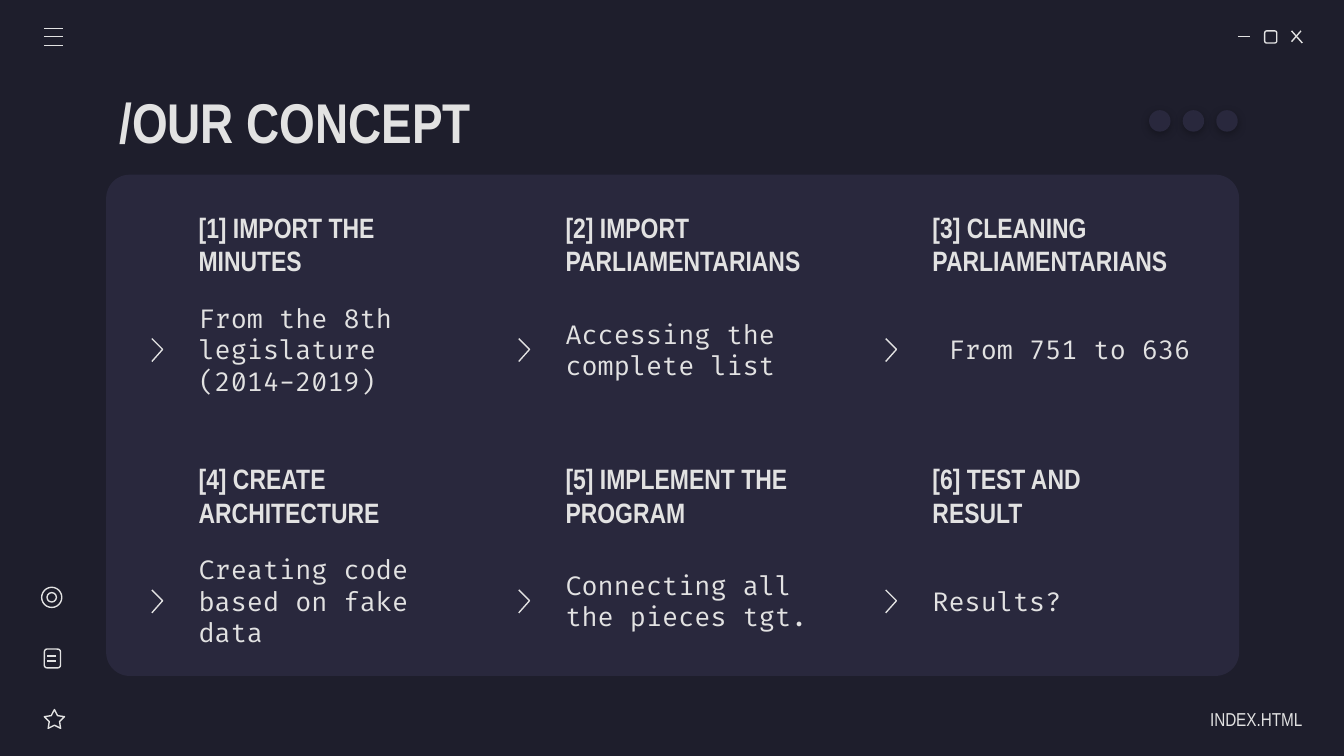
from lxml import etree
from pptx import Presentation
from pptx.dml.color import RGBColor
from pptx.enum.shapes import MSO_CONNECTOR as Connector, MSO_SHAPE as Shape
from pptx.enum.text import MSO_ANCHOR as Anchor, PP_ALIGN as Align
from pptx.oxml.ns import qn
from pptx.util import Inches, Pt

NIGHT = RGBColor(0x1E, 0x1E, 0x2C)
PANEL = RGBColor(0x29, 0x28, 0x3D)
LIGHT = RGBColor(0xE2, 0xE2, 0xE2)
BLACK = RGBColor(0, 0, 0)
HEADING_FONT = "Arial Narrow"
BODY_FONT = "Fira Code"

COLUMNS = 3
COLUMN_STEP = 2.73
ROW_STEP = 1.87
STEPS = [
    ("[1] IMPORT THE MINUTES", "From the 8th legislature (2014-2019)"),
    ("[2] IMPORT PARLIAMENTARIANS", "Accessing the complete list"),
    ("[3] CLEANING PARLIAMENTARIANS", "From 751 to 636"),
    ("[4] CREATE ARCHITECTURE", "Creating code based on fake data"),
    ("[5] IMPLEMENT THE PROGRAM", "Connecting all the pieces tgt."),
    ("[6] TEST AND RESULT", "Results?"),
]
BODY_SHIFTS = {2: 0.12}


def set_outline(line):
    line.color.rgb = LIGHT
    line.width = Pt(0.75)


def add_filled(page, kind, left, top, width, height):
    shape = page.shapes.add_shape(
        kind, Inches(left), Inches(top), Inches(width), Inches(height))
    shape.shadow.inherit = False
    shape.fill.solid()
    shape.fill.fore_color.rgb = PANEL
    shape.line.fill.background()
    return shape


def add_outlined(page, kind, left, top, width, height):
    shape = add_filled(page, kind, left, top, width, height)
    shape.fill.background()
    set_outline(shape.line)
    return shape


def add_line(page, x1, y1, x2, y2):
    line = page.shapes.add_connector(
        Connector.STRAIGHT, Inches(x1), Inches(y1), Inches(x2), Inches(y2))
    set_outline(line.line)
    etree.SubElement(line._element.spPr, qn("a:effectLst"))


def add_chevron(page, left, top):
    builder = page.shapes.build_freeform(Inches(left), Inches(top))
    builder.add_line_segments(
        [(Inches(left + 0.08), Inches(top + 0.08)),
         (Inches(left), Inches(top + 0.17))], close=False)
    chevron = builder.convert_to_shape()
    chevron.shadow.inherit = False
    chevron.fill.background()
    set_outline(chevron.line)


def add_text(page, text, left, top, width, height, size,
             font=HEADING_FONT, bold=False, align=Align.LEFT, right_inset=0.1):
    box = page.shapes.add_textbox(
        Inches(left), Inches(top), Inches(width), Inches(height))
    frame = box.text_frame
    frame.word_wrap = True
    frame.vertical_anchor = Anchor.MIDDLE
    frame.margin_left = frame.margin_top = frame.margin_bottom = Inches(0.1)
    frame.margin_right = Inches(right_inset)
    frame.text = text
    para = frame.paragraphs[0]
    para.alignment = align
    span = para.runs[0].font
    span.name, span.size, span.bold = font, Pt(size), bold
    span.color.rgb = LIGHT


def add_dot(page, left):
    """Panel-coloured dot with a soft shadow below it."""
    dot = add_filled(page, Shape.OVAL, left, 0.82, 0.16, 0.16)
    effects = dot._element.spPr.find(qn("a:effectLst"))
    shadow = etree.SubElement(
        effects, qn("a:outerShdw"), blurRad=str(Pt(4.5)), dist=str(Pt(1.5)),
        dir="5400000", algn="bl", rotWithShape="0")
    color = etree.SubElement(shadow, qn("a:srgbClr"), val=str(BLACK))
    etree.SubElement(color, qn("a:alpha"), val="30000")


def add_window_buttons(page):
    add_line(page, 9.21, 0.27, 9.3, 0.27)
    button = add_outlined(page, Shape.ROUNDED_RECTANGLE, 9.41, 0.23, 0.09, 0.09)
    button.adjustments[0] = 0.167
    add_line(page, 9.61, 0.23, 9.69, 0.32)
    add_line(page, 9.68, 0.23, 9.61, 0.31)


def add_menu_icon(page):
    for y in (0.21, 0.27, 0.34):
        add_line(page, 0.33, y, 0.47, y)


def add_side_icons(page):
    star = add_outlined(page, Shape.STAR_5_POINT, 0.33, 5.28, 0.15, 0.14)
    star.adjustments[0] = 0.254
    note = add_outlined(page, Shape.ROUNDED_RECTANGLE, 0.33, 4.83, 0.12, 0.14)
    note.adjustments[0] = 0.167
    for y in (4.88, 4.92):
        add_line(page, 0.35, y, 0.42, y)
    add_outlined(page, Shape.OVAL, 0.31, 4.37, 0.15, 0.15)
    add_outlined(page, Shape.OVAL, 0.35, 4.41, 0.07, 0.07)


def add_step(page, index, heading, body):
    row, column = divmod(index, COLUMNS)
    x, y = column * COLUMN_STEP, row * ROW_STEP
    shift = BODY_SHIFTS.get(index, 0)
    add_text(page, heading, 1.38 + x, 1.48 + y, 2, 0.67, 15, bold=True)
    add_text(page, body, 1.38 + x + shift, 2.21 + y, 2, 0.78, 14, font=BODY_FONT)
    add_chevron(page, 1.13 + x, 2.52 + y)


def main():
    deck = Presentation()
    deck.slide_width = Inches(10)
    deck.slide_height = Inches(10 * 9 / 16)
    page = deck.slides.add_slide(deck.slide_layouts[6])
    page.background.fill.solid()
    page.background.fill.fore_color.rgb = NIGHT

    panel = add_filled(page, Shape.ROUNDED_RECTANGLE, 0.79, 1.3, 8.43, 3.73)
    panel.adjustments[0] = 0.047
    add_window_buttons(page)
    add_menu_icon(page)
    add_side_icons(page)
    add_text(page, "INDEX.HTML", 8.52, 5.2, 1.17, 0.3, 10,
             align=Align.RIGHT, right_inset=0)
    add_text(page, "/OUR CONCEPT", 0.79, 0.59, 8.43, 0.63, 30, bold=True)
    for index, (heading, body) in enumerate(STEPS):
        add_step(page, index, heading, body)
    for number in range(3):
        add_dot(page, 8.55 + number * 0.25)

    deck.save("out.pptx")


if __name__ == "__main__":
    main()
